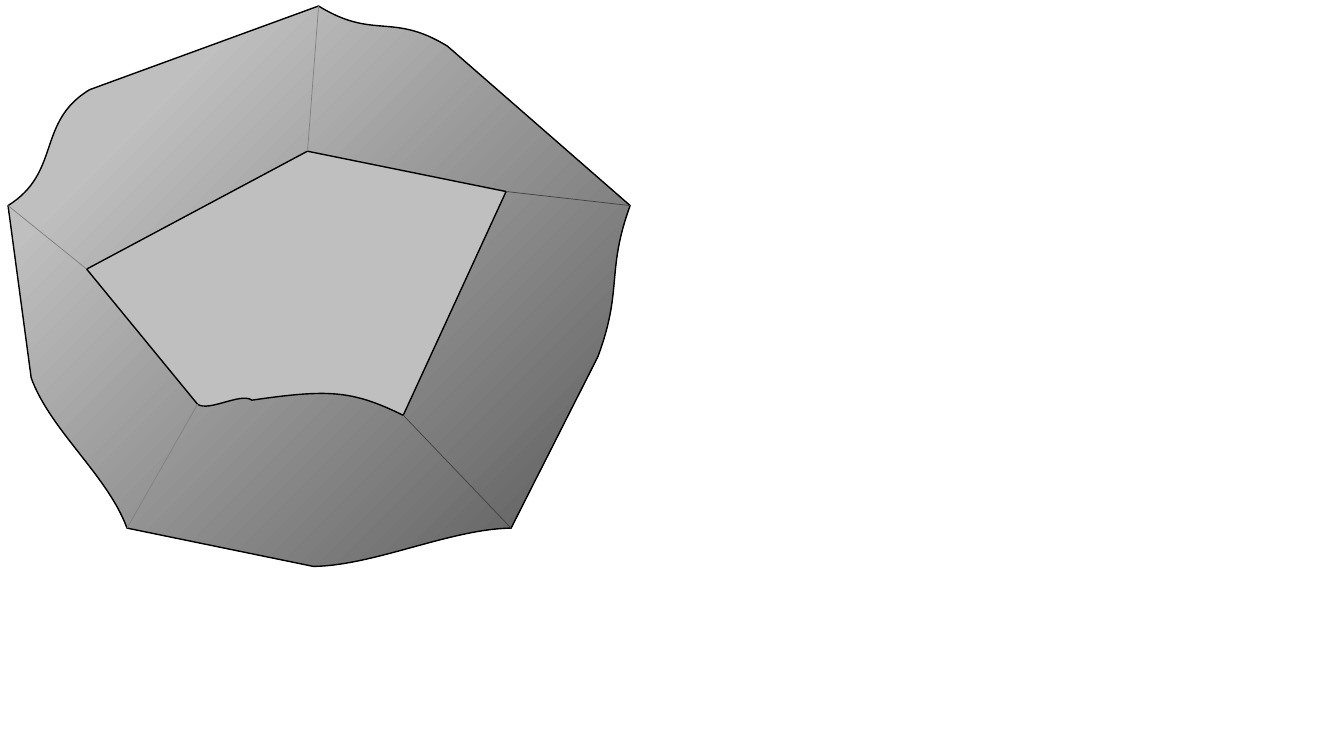
from lxml.etree import SubElement as Sub
from pptx import Presentation
from pptx.dml.color import RGBColor as Rgb
from pptx.enum.shapes import MSO_CONNECTOR as Conn
from pptx.oxml.ns import qn
from pptx.util import Pt

PX = 9144  # EMU in one px, 100 px to the inch
HUES = {
    "ink": "000000",
    "dark": "595959",
    "pale": "BFBFBF",
    "soft": "808080",
    "deep": "404040",
}

# Corners of the stone, outer rim and top face
LEFT, PEAK, RIGHT = (8, 204), (316, 6), (625, 204)
LOW_R, LOW_L = (507, 524), (126, 524)
TOP_L, TOP_B, TOP_R = (86, 267), (305, 150), (502, 190)
TOP_LR, TOP_LL = (400, 412), (196, 401)

# Each step is one point for a line, three for a curve
RIM = [
    [(61, 171), (36, 121), (89, 89)],
    [PEAK],
    [(371, 40), (389, 12), (444, 46)],
    [RIGHT],
    [(601, 270), (618, 287), (593, 354)],
    [LOW_R],
    [(446, 525), (372, 561), (311, 562)],
    [LOW_L],
    [(107, 472), (50, 427), (31, 375)],
    [LEFT],
]
FACE = [
    [TOP_B],
    [TOP_R],
    [TOP_LR],
    [(349, 387), (326, 386), (250, 397)],
    [(239, 389), (207, 409), TOP_LL],
    [TOP_L],
]
EDGES = [
    (PEAK, TOP_B, "soft"),
    (LEFT, TOP_L, "soft"),
    (LOW_L, TOP_LL, "soft"),
    (LOW_R, TOP_LR, "deep"),
    (RIGHT, TOP_R, "deep"),
]


def hue(name):
    return Rgb.from_string(HUES[name])


def pen(line, name, width):
    line.color.rgb = hue(name)
    line.width = Pt(width)


def outline(group, start, steps):
    """Closed outline made of lines and Bezier curves."""
    build = group.shapes.build_freeform(*start, scale=PX)
    build.add_line_segments([pt for step in steps for pt in step], close=True)
    shape = build.convert_to_shape()
    segs = iter(shape._element.findall(".//" + qn("a:lnTo")))
    for step in steps:
        parts = [next(segs) for _ in step]
        if len(step) == 3:
            curve = parts[0].makeelement(qn("a:cubicBezTo"))
            parts[0].addprevious(curve)
            for part in parts:
                curve.append(part[0])
                part.getparent().remove(part)
    shape.shadow.inherit = False
    pen(shape.line, "ink", 1)
    return shape


def shade(shape):
    """Round gradient that spreads from the lower right corner."""
    fill = shape.fill
    fill.gradient()
    for stop, name, pos in zip(fill.gradient_stops, ("dark", "pale"), (0, 0.8)):
        stop.color.rgb = hue(name)
        stop.position = pos
    lin = shape._element.spPr.find(".//" + qn("a:lin"))
    ring = lin.makeelement(qn("a:path"), {"path": "circle"})
    Sub(ring, qn("a:fillToRect"), {"l": "100000", "t": "100000"})
    lin.getparent().replace(lin, ring)


def edge(group, start, end, name):
    ends = [n * PX for n in start + end]
    line = group.shapes.add_connector(Conn.STRAIGHT, *ends)
    pen(line.line, name, 0.5)
    Sub(line._element.spPr, qn("a:effectLst"))


def main():
    deck = Presentation()
    deck.slide_width, deck.slide_height = 1333 * PX, 750 * PX
    slide = deck.slides.add_slide(deck.slide_layouts[6])
    stone = slide.shapes.add_group_shape()

    # Shaded body
    shade(outline(stone, LEFT, RIM))

    # Flat top face
    face = outline(stone, TOP_L, FACE)
    face.fill.solid()
    face.fill.fore_color.rgb = hue("pale")

    # Edges between rim and face
    for start, end, name in EDGES:
        edge(stone, start, end, name)

    deck.save("out.pptx")


if __name__ == "__main__":
    main()
